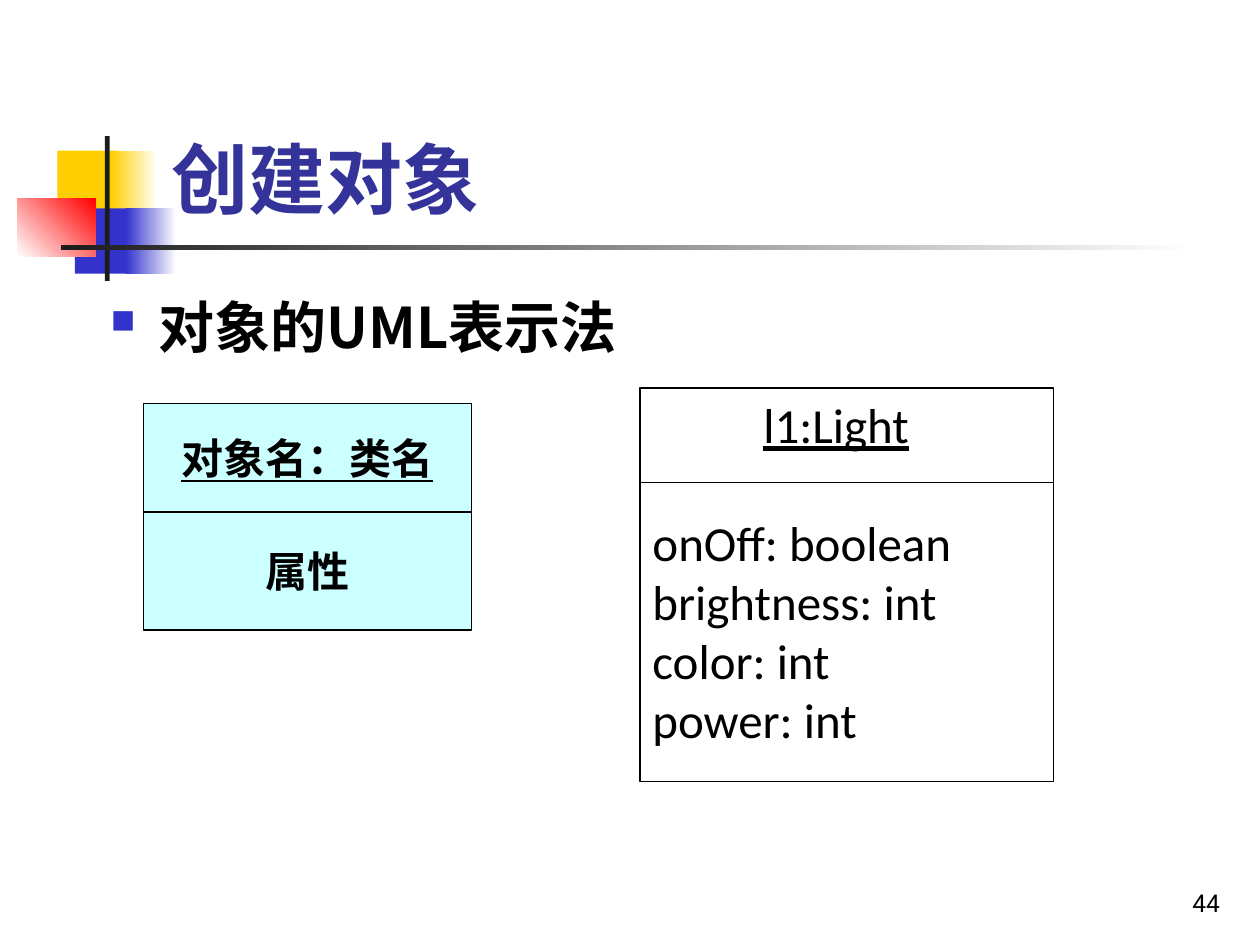
import pptx
import pptx.util
import pptx.dml.color
import pptx.enum.shapes
import pptx.enum.text
import pptx.oxml
import pptx.oxml.ns
import lxml.etree

# The page is a grid of 100 columns by 75 rows; boxes are left, top, width, height
COLUMN = ROW = pptx.util.Inches(0.1)
COLOURS = {"yellow": "FFCF01", "blue": "3333CC", "red": "FF0000", "dark": "1C1C1C",
           "title": "333399", "cyan": "CCFFFF", "white": "FFFFFF", "black": "000000"}
ALIGN = pptx.enum.text.PP_ALIGN
ANCHOR = pptx.enum.text.MSO_ANCHOR
CJK_FONT = "Noto Sans CJK SC"


def colour(name):
    return pptx.dml.color.RGBColor.from_string(COLOURS[name])


def emu(box):
    left, top, width, height = box
    return [int(left * COLUMN), int(top * ROW), int(width * COLUMN), int(height * ROW)]


def add_rectangle(shapes, box, fill, fade_to=None, angle=0, outlined=False):
    shape = shapes.add_shape(pptx.enum.shapes.MSO_SHAPE.RECTANGLE, *emu(box))
    shape.shadow.inherit = False
    if fade_to:
        shape.fill.gradient()
        shape.fill.gradient_angle = angle
        for stop, name in zip(shape.fill.gradient_stops, (fill, fade_to)):
            stop.color.rgb = colour(name)
    else:
        shape.fill.solid()
        shape.fill.fore_color.rgb = colour(fill)
    if outlined:
        shape.line.color.rgb = colour("black")
        shape.line.width = pptx.util.Pt(0.75)
    else:
        shape.line.fill.background()
    return shape


def add_text_box(page, box, anchor):
    frame = page.shapes.add_textbox(*emu(box)).text_frame
    frame.word_wrap = True
    frame.vertical_anchor = anchor
    return frame


def write(para, text, size, font, name="black", bold=False, underline=False,
          align=ALIGN.LEFT):
    para.text = text
    para.alignment = align
    para.font.size = pptx.util.Pt(size)
    para.font.name = font
    para.font.bold = bold
    para.font.underline = underline
    para.font.color.rgb = colour(name)
    latin = para.font._element.find(pptx.oxml.ns.qn("a:latin"))
    east_asian = lxml.etree.Element(pptx.oxml.ns.qn("a:ea"), typeface=CJK_FONT)
    latin.addnext(east_asian)


def add_ornament(page, box):
    left, top, width, height = box

    def part(x, y, w, h, *fill, **options):
        place = (left + x * width, top + y * height, w * width, h * height)
        add_rectangle(page.shapes, place, *fill, **options)

    # Coloured squares, each solid one fading out to the right
    part(0.25, 0.1, 0.38, 0.45, "yellow")
    part(0.59, 0.1, 0.29, 0.45, "yellow", "white")
    part(0.36, 0.5, 0.36, 0.45, "blue")
    part(0.68, 0.5, 0.32, 0.45, "blue", "white")
    part(0, 0.43, 0.49, 0.4, "white", "red", angle=45)
    # Crossing bars
    part(0.55, 0, 0.03, 1, "dark")
    part(0.27, 0.755, 7.14, 0.03, "dark", "white")


def add_title(page, box, text):
    frame = add_text_box(page, box, ANCHOR.BOTTOM)
    write(frame.paragraphs[0], text, 44, "Roboto", "title", bold=True)


def add_page_number(page, box, text):
    frame = add_text_box(page, box, ANCHOR.BOTTOM)
    write(frame.paragraphs[0], text, 14, "Roboto", align=ALIGN.RIGHT)


def add_bullet(page, box, text):
    para = add_text_box(page, box, ANCHOR.TOP).paragraphs[0]
    write(para, text, 32, CJK_FONT, bold=True)
    para.space_before = pptx.util.Pt(8)
    properties = para._p.get_or_add_pPr()
    indent = pptx.util.Inches(0.38)
    properties.set("marL", str(indent))
    properties.set("indent", str(-indent))
    namespace = pptx.oxml.ns.nsdecls("a")
    marks = (f'<a:buClr {namespace}><a:srgbClr val="{COLOURS["blue"]}"/></a:buClr>',
             f'<a:buSzPct {namespace} val="60000"/>',
             f'<a:buChar {namespace} char="■"/>')
    default_font = properties.find(pptx.oxml.ns.qn("a:defRPr"))
    for mark in marks:
        default_font.addprevious(pptx.oxml.parse_xml(mark))


def add_notation(page, box, name, attributes):
    left, top, width, height = box
    group = page.shapes.add_group_shape()
    split = 0.48 * height
    cells = ((name, top, split, True), (attributes, top + split, height - split, False))
    for text, cell_top, cell_height, underline in cells:
        cell = add_rectangle(group.shapes, (left, cell_top, width, cell_height),
                             "cyan", outlined=True)
        cell.text_frame.word_wrap = False
        cell.text_frame.vertical_anchor = ANCHOR.MIDDLE
        write(cell.text_frame.paragraphs[0], text, 24, "Times New Roman", bold=True,
              underline=underline, align=ALIGN.CENTER)


def add_example(page, box, name, attributes):
    left, top, width, height = box
    group = page.shapes.add_group_shape()
    frame = add_rectangle(group.shapes, box, "white", outlined=True).text_frame
    frame.word_wrap = True
    frame.vertical_anchor = ANCHOR.TOP
    # Object name, set in from the left
    heading = frame.paragraphs[0]
    write(heading, name, 28, "Calibri", underline=True)
    heading._p.get_or_add_pPr().set("marL", str(pptx.util.Inches(0.88)))
    # Attributes, one line below the name
    for index, text in enumerate(attributes):
        para = frame.add_paragraph()
        write(para, text, 28, "Calibri")
        if index == 0:
            para.space_before = pptx.util.Pt(34)
    # Divider
    x, y, length, _ = emu((left, top + 0.24 * height, width, 0))
    divider = group.shapes.add_connector(
        pptx.enum.shapes.MSO_CONNECTOR.STRAIGHT, x, y, x + length, y)
    divider.line.color.rgb = colour("black")
    divider.line.width = pptx.util.Pt(0.75)
    lxml.etree.SubElement(divider._element.spPr, pptx.oxml.ns.qn("a:effectLst"))


def main():
    deck = pptx.Presentation()
    deck.slide_width, deck.slide_height = 100 * COLUMN, 75 * ROW
    page = deck.slides.add_slide(deck.slide_layouts[6])
    add_ornament(page, (1.4, 10.8, 12.6, 11.5))
    add_page_number(page, (77, 68.3, 20.8, 5), "44")
    add_title(page, (12.6, 2.3, 85.2, 16), "创建对象")
    add_bullet(page, (7.8, 22.7, 85, 45), "对象的UML表示法")
    add_notation(page, (11.4, 32, 26, 18), "对象名：类名", "属性")
    add_example(page, (50.8, 30.8, 32.8, 31.2), "l1:Light",
                ("onOff: boolean", "brightness: int", "color: int", "power: int"))
    deck.save("out.pptx")


if __name__ == "__main__":
    main()
